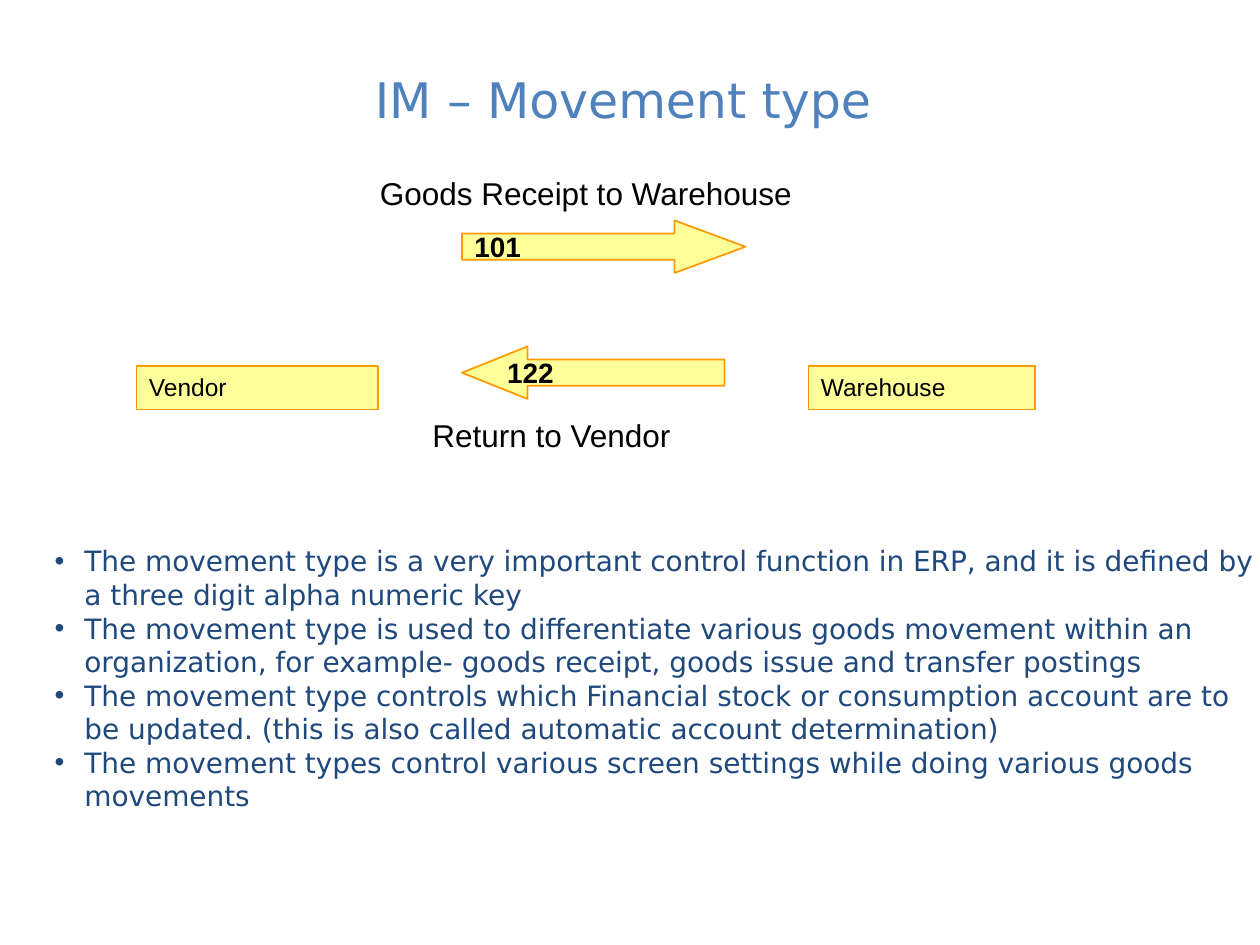
from pptx import Presentation
from pptx.dml.color import RGBColor
from pptx.enum.shapes import MSO_SHAPE
from pptx.enum.text import MSO_ANCHOR, MSO_AUTO_SIZE, PP_ALIGN
from pptx.oxml.ns import qn
from pptx.util import Pt
from lxml.etree import SubElement

# Content: boxes are left, top, width, height in points
TITLE = "IM – Movement type"
BULLETS = [
    "The movement type is a very important control function in ERP, and it is "
    "defined by a three digit alpha numeric key",
    "The movement type is used to differentiate various goods movement within an "
    "organization, for example- goods receipt, goods issue and transfer postings",
    "The movement type controls which Financial stock or consumption account are "
    "to be updated. (this is also called automatic account determination)",
    "The movement types control various screen settings while doing various goods "
    "movements",
]
PLACES = [
    ("Vendor", (78, 209, 138, 25)),
    ("Warehouse", (462, 209, 129.6, 25)),
]
ARROWS = [
    ("101", MSO_SHAPE.RIGHT_ARROW, (264, 126, 162, 30), 1.35),
    ("122", MSO_SHAPE.LEFT_ARROW, (264, 198, 150, 30), 1.25),
]
LABELS = [
    ("Return to Vendor", (240, 234, 210, 29)),
    ("Goods Receipt to Warehouse", (210, 96, 252, 29)),
]
TITLE_BOX = (12, 30, 688, 53)
BODY_BOX = (24, 307.2, 702, 162)
INDENT = 17

# Formats
TITLE_FONT = dict(name="DejaVu Sans", size=Pt(28), bold=False, color="4F81BD")
BODY_FONT = dict(name="DejaVu Sans", size=Pt(16), bold=False, color="1F497D")
PLACE_FONT = dict(name="Arial", size=Pt(14), bold=False, color="000000")
ARROW_FONT = dict(name="Arial", size=Pt(16), bold=True, color="000000")
LABEL_FONT = dict(name="Arial", size=Pt(18), bold=False, color="000000")


def rgb(code):
    return RGBColor.from_string(code)


def points(box):
    return [Pt(v) for v in box]


def place(sp, box):
    sp.left, sp.top, sp.width, sp.height = points(box)


def write(sp, lines, font, align=PP_ALIGN.LEFT, anchor=MSO_ANCHOR.TOP,
          wrap=True, bullet=False):
    tf = sp.text_frame
    tf.auto_size = MSO_AUTO_SIZE.NONE
    tf.word_wrap, tf.vertical_anchor = wrap, anchor
    for i, line in enumerate(lines):
        p = tf.add_paragraph() if i else tf.paragraphs[0]
        p.alignment, p.space_before = align, Pt(0)
        if bullet:
            pPr = p._p.get_or_add_pPr()
            pPr.set("marL", str(Pt(INDENT)))
            pPr.set("indent", str(-Pt(INDENT)))
            SubElement(pPr, qn("a:buFont"), typeface="Arial")
            SubElement(pPr, qn("a:buChar"), char="•")
        r = p.add_run()
        r.text = line
        for key, value in font.items():
            if key == "color":
                r.font.color.rgb = rgb(value)
            else:
                setattr(r.font, key, value)


def add_yellow(s, kind, box):
    sp = s.shapes.add_shape(kind, *points(box))
    sp.shadow.inherit = False
    sp.fill.solid()
    sp.fill.fore_color.rgb = rgb("FFFF99")
    sp.line.color.rgb = rgb("FF9900")
    sp.line.width = Pt(1)
    return sp


prs = Presentation()
prs.slide_width, prs.slide_height = Pt(720), Pt(540)
s = prs.slides.add_slide(prs.slide_layouts[1])

# Title and bullet list
title, body = s.shapes.title, s.placeholders[1]
place(title, TITLE_BOX)
write(title, [TITLE], TITLE_FONT, PP_ALIGN.CENTER, MSO_ANCHOR.MIDDLE)
place(body, BODY_BOX)
write(body, BULLETS, BODY_FONT, bullet=True)

# Vendor and warehouse
for text, box in PLACES:
    write(add_yellow(s, MSO_SHAPE.RECTANGLE, box), [text], PLACE_FONT)

# Movement arrows
for text, kind, box, head in ARROWS:
    sp = add_yellow(s, kind, box)
    sp.adjustments[0], sp.adjustments[1] = 0.5, head
    write(sp, [text], ARROW_FONT, anchor=MSO_ANCHOR.MIDDLE, wrap=False)

# Movement labels
for text, box in LABELS:
    write(s.shapes.add_textbox(*points(box)), [text], LABEL_FONT)

prs.save("out.pptx")
